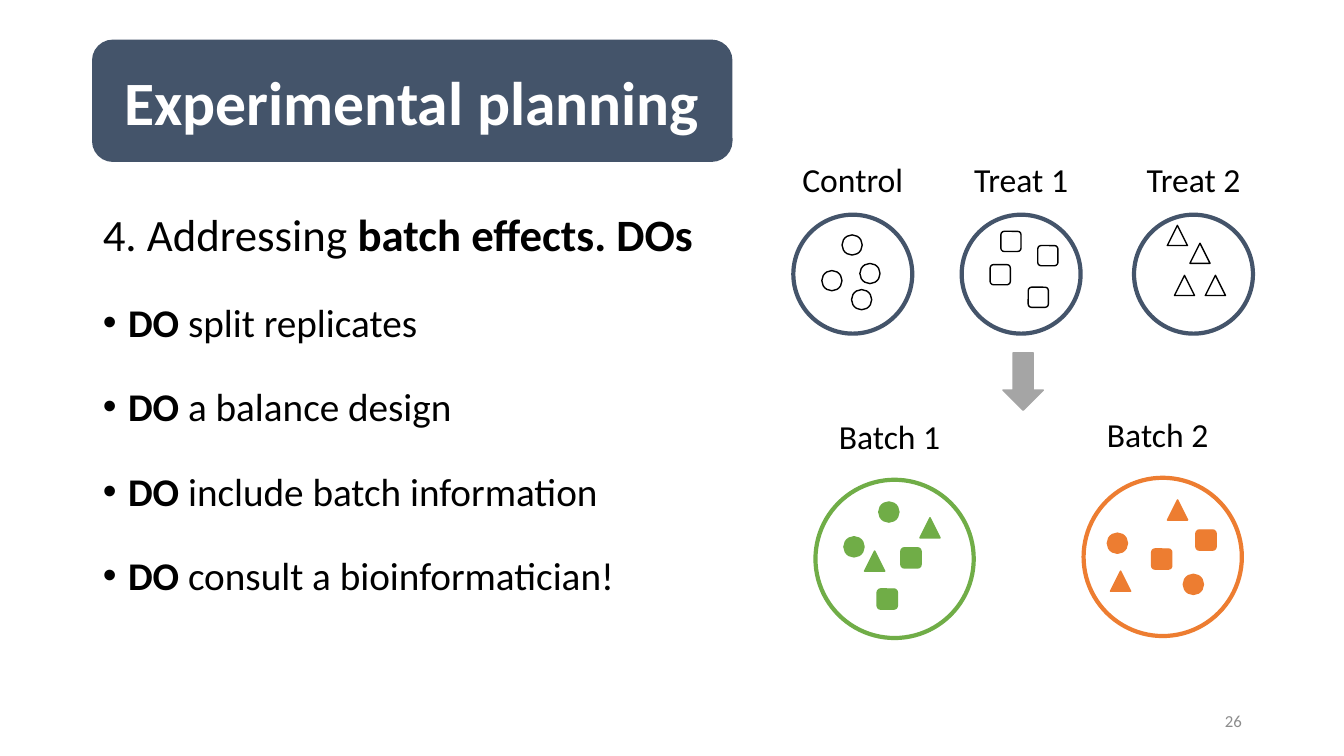
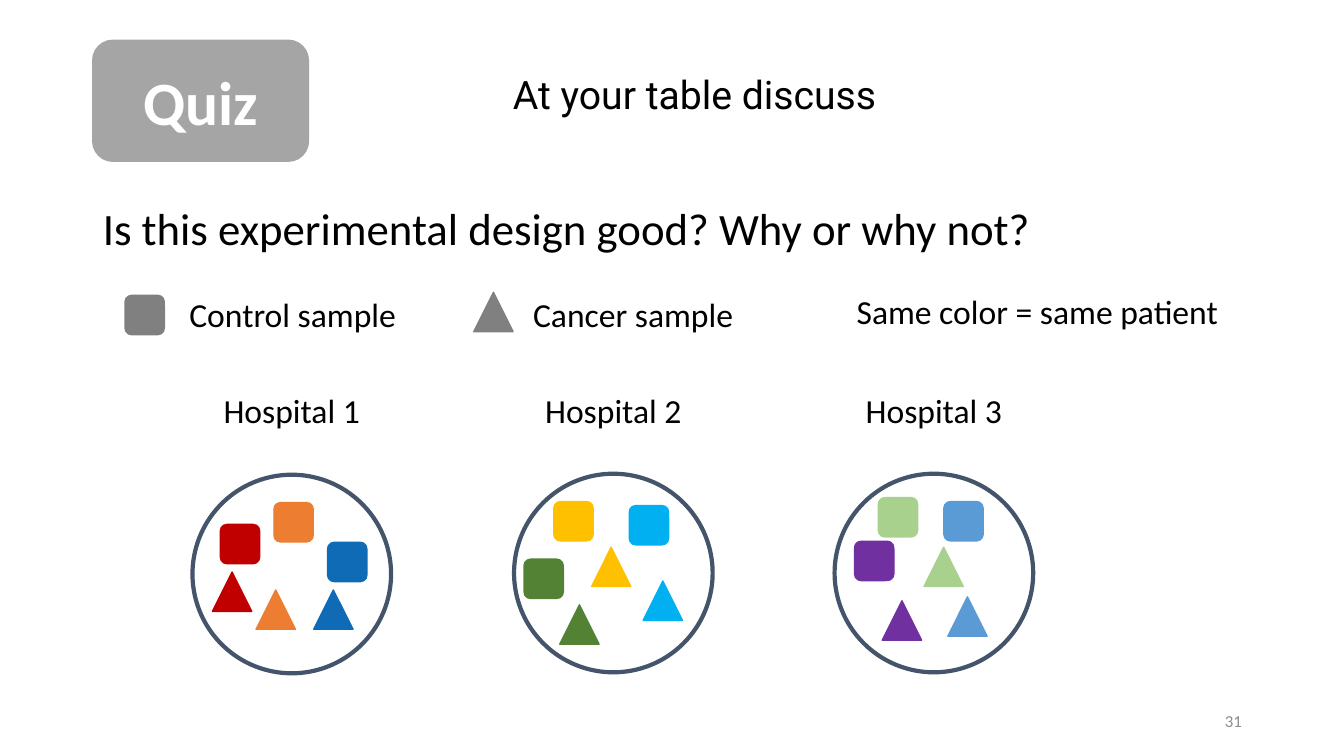
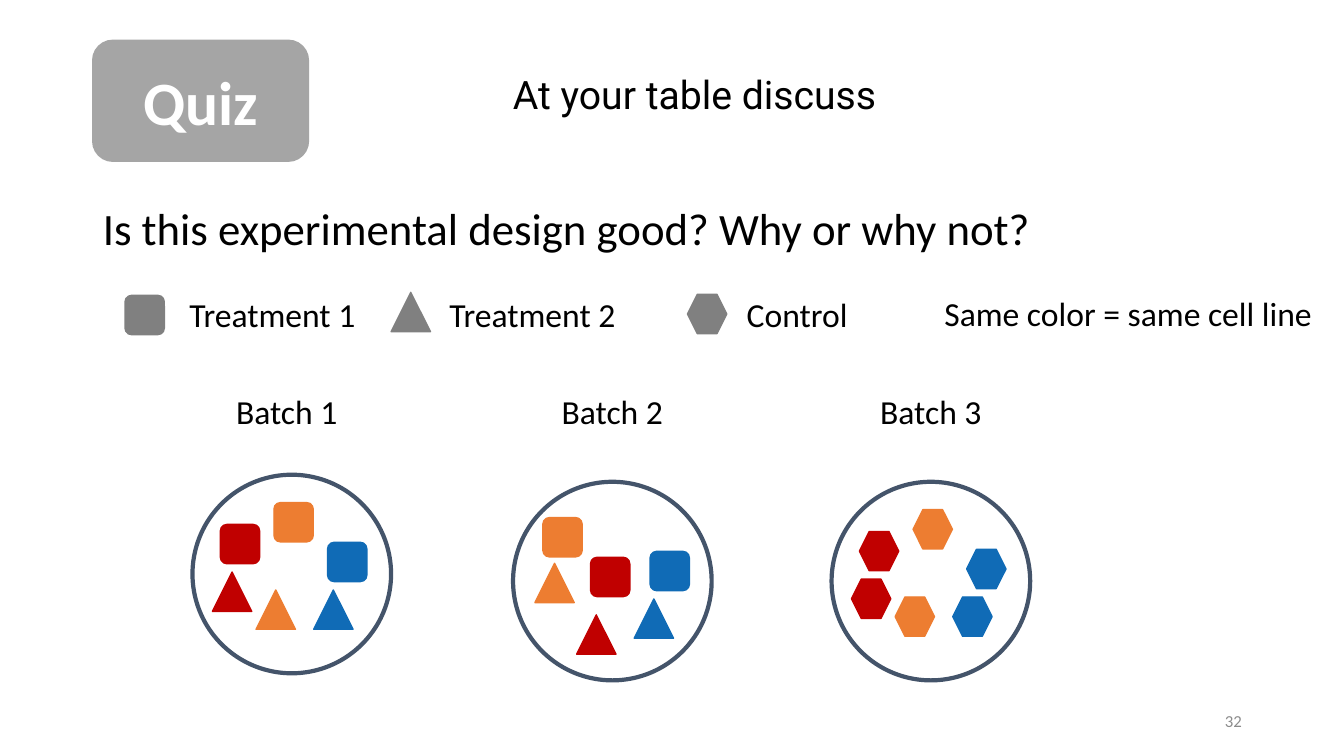
from lxml import etree
from pptx import Presentation
from pptx import util as u
from pptx.dml.color import RGBColor
from pptx.enum import shapes, text
from pptx.oxml.ns import qn

CELL = u.Inches(0.1)  # the slide is a grid of 133.3 columns by 75 rows
WIDE, HIGH = 133.33, 75
LEFT, RIGHT = 9.2, 124.2
FONT = "Calibri"
BLACK, WHITE, GREY, SILVER, SLATE = "000000", "FFFFFF", "808080", "A5A5A5", "44546A"
RED, ORANGE, BLUE, GREEN = "C00000", "ED7D31", "106BB6", "70AD47"
GOLD, MOSS, SKY = "FFC000", "548235", "00B0F0"
LIME, PLUM, AZURE = "A9D18E", "7030A0", "5B9BD5"

KIND = shapes.MSO_SHAPE
DISC, SQUARE, PEAK, HEX = KIND.OVAL, KIND.ROUNDED_RECTANGLE, KIND.ISOSCELES_TRIANGLE, KIND.HEXAGON
SIDES = {"l": text.PP_ALIGN.LEFT, "c": text.PP_ALIGN.CENTER, "r": text.PP_ALIGN.RIGHT}

# Markers in a dish: shape, colour, left and top in percent of the dish
PAIRS = [(SQUARE, ORANGE, 41, 14), (SQUARE, RED, 14, 25), (SQUARE, BLUE, 68, 34),
         (PEAK, RED, 10, 49), (PEAK, ORANGE, 32, 58), (PEAK, BLUE, 61, 58)]
SECOND = [(SQUARE, GOLD, 20, 14), (SQUARE, MOSS, 5, 43), (SQUARE, SKY, 58, 16),
          (PEAK, MOSS, 23, 66), (PEAK, GOLD, 39, 37), (PEAK, SKY, 65, 54)]
THIRD = [(SQUARE, LIME, 22, 12), (SQUARE, PLUM, 10, 34), (SQUARE, AZURE, 55, 14),
         (PEAK, PLUM, 24, 64), (PEAK, LIME, 45, 37), (PEAK, AZURE, 57, 62)]
SHIFTED = [(SQUARE, ORANGE, 15, 18), (SQUARE, RED, 39, 38), (SQUARE, BLUE, 69, 35),
           (PEAK, RED, 32, 67), (PEAK, ORANGE, 11, 41), (PEAK, BLUE, 61, 59)]
CELLS = [(HEX, *rest) for _, *rest in PAIRS]


def tint(code):
    return RGBColor.from_string(code)


def cells(*box):
    return [round(n * CELL) for n in box]


def place(item, *box):
    item.left, item.top, item.width, item.height = cells(*box)
    return item


def write(frame, words, size=24, color=BLACK, font=FONT, bold=False, side="l",
          mid=False, wrap=True, more=False, gap=0, line=None, bullet=None):
    """Write one paragraph; words is a string or a list of (string, bold)."""
    frame.word_wrap = wrap
    frame.auto_size = text.MSO_AUTO_SIZE.NONE
    frame.vertical_anchor = text.MSO_ANCHOR.MIDDLE if mid else text.MSO_ANCHOR.TOP
    para = frame.add_paragraph() if more else frame.paragraphs[0]
    props = para._p.get_or_add_pPr()
    hang = u.Inches(0.25) if bullet else 0
    props.set("marL", str(hang))
    props.set("indent", str(-hang))
    if bullet:
        etree.SubElement(props, qn("a:buFont"), typeface="Arial")
        etree.SubElement(props, qn("a:buChar"), char=bullet)
    else:
        etree.SubElement(props, qn("a:buNone"))
    para.alignment = SIDES[side]
    para.space_before = u.Pt(gap)
    para.line_spacing = line
    for part, strong in [(words, bold)] if isinstance(words, str) else words:
        run = para.add_run()
        run.text = part
        run.font.name, run.font.size, run.font.bold = font, u.Pt(size), strong
        run.font.color.rgb = tint(color)


def label(host, words, *box, **form):
    write(host.shapes.add_textbox(*cells(*box)).text_frame, words, **form)


def draw(host, kind, *box, fill=None, line=None, width=1):
    item = host.shapes.add_shape(kind, *cells(*box))
    item.shadow.inherit = False
    if fill:
        item.fill.solid()
        item.fill.fore_color.rgb = tint(fill)
    else:
        item.fill.background()
    item.line.color.rgb = tint(line or fill)
    item.line.width = u.Pt(width)
    return item


def dish(slide, name, x, y, size, marks, row, mark=3.9, ring=SLATE, edge=None, shift=0):
    """Draw a ring of markers with its name centred on the given row."""
    group = slide.shapes.add_group_shape()
    for kind, color, left, top in marks:
        draw(group, kind, x + size * left / 100, y + size * top / 100, mark, mark,
             fill=color, line=edge)
    draw(group, DISC, x, y, size, size, line=ring, width=3)
    label(group, name, x + size / 2 - 10 + shift, row, 20, 5, side="c")


def start(deck, title, width, color, page):
    """Add a slide with its title badge and page number."""
    slide = deck.slides.add_slide(deck.slide_layouts[1])
    box = LEFT, 4, width, 12
    badge = draw(slide, SQUARE, *box, fill=color)
    slide.shapes._spTree.insert(2, badge._element)
    head = place(slide.shapes.title, *box)
    write(head.text_frame, title, size=44, color=WHITE, bold=True, side="c", mid=True)
    label(slide, page, RIGHT - 30, 69.5, 30, 4, size=12, color="8C8C8C", side="r", mid=True)
    return slide


def plan(deck):
    slide = start(deck, "Experimental planning", 63.4, SLATE, "26")
    body = place(slide.placeholders[1], LEFT, 20, 60.8, 49.5).text_frame
    write(body, [("4. Addressing\u00a0", False), ("batch effects. DOs", True)], size=32)
    for task in ("split replicates", "a balance design", "include batch information",
                 "consult a bioinformatician!"):
        write(body, [("DO ", True), (task, False)], size=28, more=True, gap=10,
              line=1.5, bullet="•")

    for name, x, kind, spots in (
            ("Control", 78.7, DISC, [(41, 17), (24, 47), (56, 41), (49, 63)]),
            ("Treat 1", 95.4, SQUARE, [(33, 14), (24, 42), (64, 26), (56, 61)]),
            ("Treat 2", 112.5, PEAK, [(28, 9), (34, 51), (47, 24), (60, 51)])):
        marks = [(kind, WHITE, *spot) for spot in spots]
        dish(slide, name, x, 21.3, 11.8, marks, 15.3, mark=2, edge=BLACK)
    draw(slide, KIND.DOWN_ARROW, 99.5, 35, 4, 5.7, fill=SILVER)

    kinds = DISC, DISC, SQUARE, SQUARE, PEAK, PEAK
    for name, x, y, color, spots in (
            ("Batch 1", 80.9, 47.6, GREEN,
             [(40, 14), (18, 36), (54, 43), (39, 69), (31, 45), (66, 24)]),
            ("Batch 2", 107.5, 47.4, ORANGE,
             [(15, 35), (63, 61), (71, 33), (43, 45), (17, 59), (53, 14)])):
        marks = [(kind, color, *spot) for kind, spot in zip(kinds, spots)]
        dish(slide, name, x, y, 15.7, marks, y - 6.85, mark=2, ring=color, shift=-0.5)


def quiz(deck, page, keys, note, dishes, row):
    """Add a quiz: legend keys, a note, then dishes below their names."""
    slide = start(deck, "Quiz", 21.4, SILVER, page)
    label(slide, "At your table discuss", 49, 6.5, 39.8, 5.7, size=28, font="Roboto", side="c")
    body = place(slide.placeholders[1], LEFT, 20, RIGHT - LEFT, 6).text_frame
    write(body, "Is this experimental design good? Why or why not?", size=32, line=0.9)
    for kind, x, y, name, start_x in keys:
        draw(slide, kind, x, y, 3.9, 3.9, fill=GREY)
        label(slide, name, start_x, 28.7, 23, 5, wrap=False)
    label(slide, *note, 39, 5, wrap=False)
    for name, x, y, marks, shift in dishes:
        dish(slide, name, x, y, 19.7, marks, row, shift=shift)


def main():
    deck = Presentation()
    deck.slide_width, deck.slide_height = cells(WIDE, HIGH)
    plan(deck)
    quiz(deck, "31",
         [(SQUARE, 12.4, 29.3, "Control sample", 17.8),
          (PEAK, 47, 29, "Cancer sample", 51.9)],
         ("Same color = same patient", 84, 28.4),
         [("Hospital 1", 19.1, 47.1, PAIRS, 0),
          ("Hospital 2", 51, 47, SECOND, 0),
          ("Hospital 3", 82.8, 47, THIRD, 0)], 38.2)
    quiz(deck, "32",
         [(SQUARE, 12.4, 29.3, "Treatment 1", 17.8),
          (PEAK, 38.8, 29, "Treatment 2", 43.6),
          (HEX, 68.2, 29.2, "Control", 73.1)],
         ("Same color = same cell line", 92.7, 28.6),
         [("Batch 1", 19.1, 47.1, PAIRS, -0.5),
          ("Batch 2", 50.9, 47.8, SHIFTED, 0),
          ("Batch 3", 82.5, 47.8, CELLS, 0)], 38.3)
    deck.save("out.pptx")


if __name__ == "__main__":
    main()
